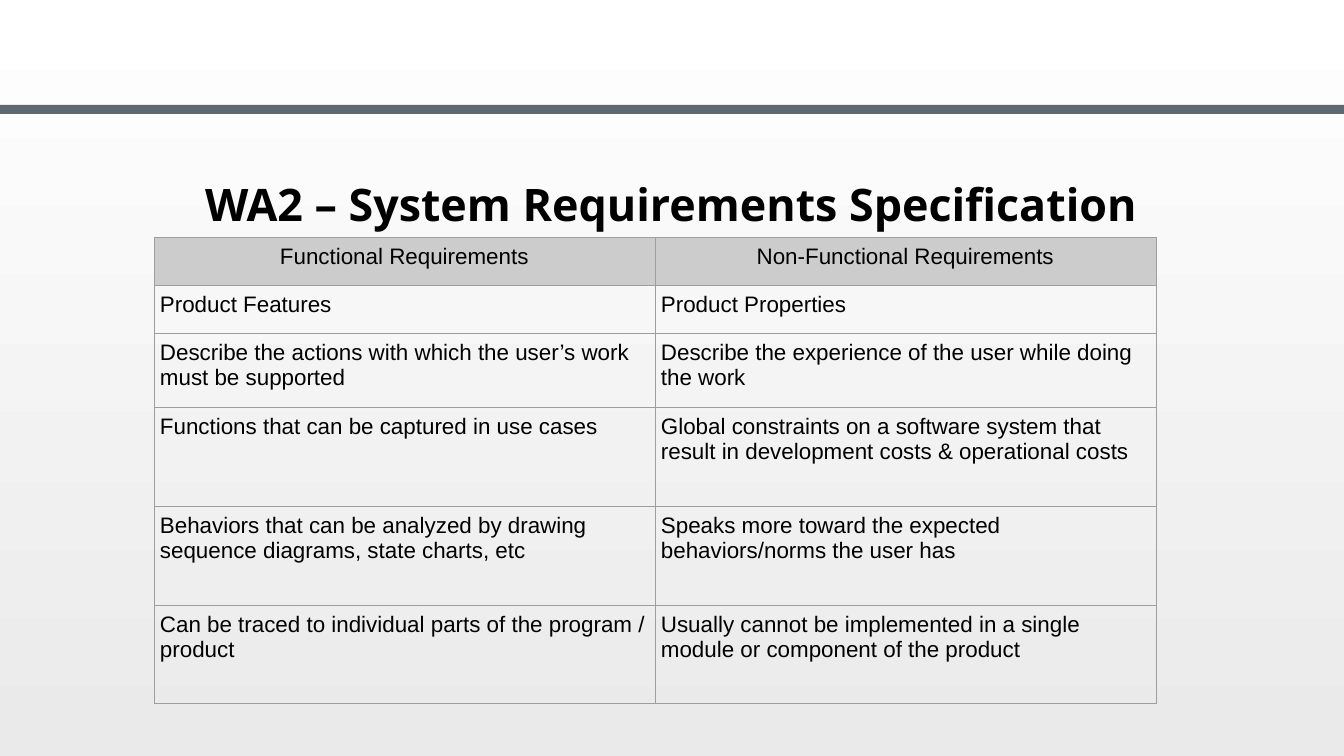
from lxml import etree
from pptx import Presentation
from pptx.dml.color import RGBColor
from pptx.enum.shapes import MSO_SHAPE
from pptx.enum.text import MSO_ANCHOR, PP_ALIGN
from pptx.oxml.ns import qn
from pptx.util import Pt

SCALE = 914400 / 134.4
RECT = MSO_SHAPE.RECTANGLE
BOTTOM = MSO_ANCHOR.BOTTOM
LEFT, CENTER = PP_ALIGN.LEFT, PP_ALIGN.CENTER
COLORS = {
    "top": "FFFFFF",
    "base": "EAEAEA",
    "band": "5E6A71",
    "head": "CCCCCC",
    "edge": "9E9E9E",
    "text": "000000",
}
TITLE = "WA2 – System Requirements Specification"
ROWS = [
    (48, "Functional Requirements", "Non-Functional Requirements"),
    (48, "Product Features", "Product Properties"),
    (74, "Describe the actions with which the user’s work must be supported",
     "Describe the experience of the user while doing the work"),
    (99, "Functions that can be captured in use cases",
     "Global constraints on a software system that result in development costs & operational costs"),
    (99, "Behaviors that can be analyzed by drawing sequence diagrams, state charts, etc",
     "Speaks more toward the expected behaviors/norms the user has"),
    (99, "Can be traced to individual parts of the program / product",
     "Usually cannot be implemented in a single module or component of the product"),
]


def px(n):
    return round(n * SCALE)


def box(*sides):
    return [px(n) for n in sides]


def color(name):
    return RGBColor.from_string(COLORS[name])


def style(para, face, size, bold, align):
    para.alignment = align
    font = para.runs[0].font
    font.name, font.size, font.bold = face, Pt(size), bold
    font.color.rgb = color("text")


def inset(item, side, edge):
    item.margin_left = item.margin_right = px(side)
    item.margin_top = item.margin_bottom = px(edge)


def add_back(slide):
    fill = slide.background.fill
    fill.gradient()
    fill.gradient_angle = 90
    for stop, name in zip(fill.gradient_stops, ("base", "top")):
        stop.color.rgb = color(name)


def add_band(slide):
    band = slide.shapes.add_shape(RECT, *box(0, 105, 1344, 9))
    band.shadow.inherit = False
    band.fill.solid()
    band.fill.fore_color.rgb = color("band")
    band.line.fill.background()


def add_title(slide):
    frame = slide.shapes.add_textbox(*box(52, 177, 1238, 60)).text_frame
    frame.word_wrap = True
    frame.vertical_anchor = BOTTOM
    inset(frame, 67, 7)
    frame.text = TITLE
    para = frame.paragraphs[0]
    para.line_spacing = Pt(24)
    style(para, "Open Sans", 24, True, CENTER)


def add_edges(cell):
    props = cell._tc.get_or_add_tcPr()
    for tag in ("a:lnL", "a:lnR", "a:lnT", "a:lnB"):
        line = etree.SubElement(props, qn(tag), w=str(Pt(0.34)))
        fill = etree.SubElement(line, qn("a:solidFill"))
        etree.SubElement(fill, qn("a:srgbClr"), val=COLORS["edge"])


def fill_cell(cell, text, head):
    inset(cell, 6, 7)
    cell.text = text
    style(cell.text_frame.paragraphs[0], "Arial", 12, False, CENTER if head else LEFT)
    add_edges(cell)
    if head:
        cell.fill.solid()
        cell.fill.fore_color.rgb = color("head")
    else:
        cell.fill.background()


def add_grid(slide):
    high = sum(row[0] for row in ROWS)
    table = slide.shapes.add_table(len(ROWS), 2, *box(154, 237, 1002, high)).table
    table.first_row = table.horz_banding = False
    for r, (tall, *texts) in enumerate(ROWS):
        table.rows[r].height = px(tall)
        for c, text in enumerate(texts):
            fill_cell(table.cell(r, c), text, r == 0)


def main():
    deck = Presentation()
    deck.slide_width, deck.slide_height = box(1344, 756)
    slide = deck.slides.add_slide(deck.slide_layouts[6])
    add_back(slide)
    add_band(slide)
    add_title(slide)
    add_grid(slide)
    deck.save("out.pptx")


if __name__ == "__main__":
    main()
